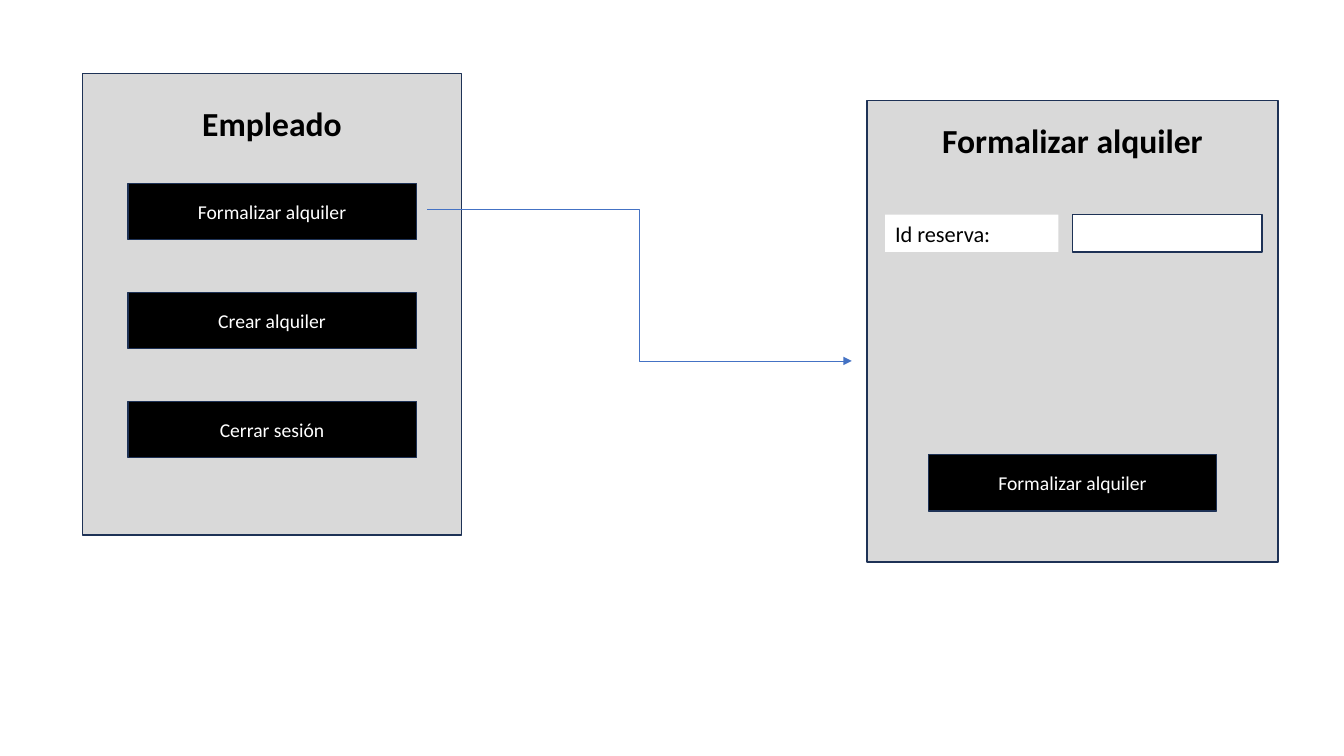
"""Draw the rental screen flow from the employee menu to the rental form."""
from dataclasses import dataclass
from typing import Optional

from lxml import etree
from pptx import Presentation
from pptx import slide as sl
from pptx import util as u
from pptx.dml import color
from pptx.enum import shapes, text
from pptx.oxml import ns

COLORS = {
    "panel": "D9D9D9",
    "border": "1E3256",
    "black": "000000",
    "white": "FFFFFF",
    "arrow": "4472C4",
}
FONT = "Calibri"
BUTTON_WIDTH, BUTTON_HEIGHT, BUTTON_PITCH = 206, 40.3, 77.8
FIELD_TOP, FIELD_HEIGHT = 153.4, 26.6


@dataclass(frozen=True)
class Box:
    left: float
    top: float
    width: float
    height: float
    fill: Optional[str] = None
    border: Optional[str] = "border"
    words: str = ""
    size: float = 14
    ink: str = "black"
    bold: bool = False
    align: text.PP_ALIGN = text.PP_ALIGN.CENTER


def rgb(name: str) -> color.RGBColor:
    return color.RGBColor.from_string(COLORS[name])


def heading(panel: Box, top: float, words: str) -> Box:
    return Box(panel.left, top, panel.width, 36.4, border=None,
               words=words, size=24, bold=True)


def button(panel: Box, top: float, words: str) -> Box:
    left = panel.left + (panel.width - BUTTON_WIDTH) / 2
    return Box(left, top, BUTTON_WIDTH, BUTTON_HEIGHT, "black",
               words=words, ink="white")


def draw_box(slide: sl.Slide, box: Box) -> None:
    frame = [u.Pt(n) for n in (box.left, box.top, box.width, box.height)]
    if box.fill:
        shape = slide.shapes.add_shape(shapes.MSO_SHAPE.RECTANGLE, *frame)
        shape.shadow.inherit = False
        shape.fill.solid()
        shape.fill.fore_color.rgb = rgb(box.fill)
        if box.border:
            shape.line.color.rgb = rgb(box.border)
            shape.line.width = u.Pt(1)
        else:
            shape.line.fill.background()
    else:
        shape = slide.shapes.add_textbox(*frame)
    if box.words:
        body = shape.text_frame
        body.word_wrap = True
        body.vertical_anchor = text.MSO_ANCHOR.MIDDLE
        body.text = box.words
        paragraph = body.paragraphs[0]
        paragraph.alignment = box.align
        font = paragraph.runs[0].font
        font.name, font.size, font.bold = FONT, u.Pt(box.size), box.bold
        font.color.rgb = rgb(box.ink)


def draw_arrow(slide: sl.Slide, *ends: float) -> None:
    arrow = slide.shapes.add_connector(
        shapes.MSO_CONNECTOR.ELBOW, *(u.Pt(end) for end in ends))
    arrow.line.color.rgb = rgb("arrow")
    arrow.line.width = u.Pt(0.5)
    properties = arrow.element.spPr
    line = properties.find(ns.qn("a:ln"))
    etree.SubElement(line, ns.qn("a:tailEnd"), type="triangle")
    etree.SubElement(properties, ns.qn("a:effectLst"))


def main() -> None:
    deck = Presentation()
    deck.slide_width, deck.slide_height = u.Pt(960), u.Pt(540)
    slide = deck.slides.add_slide(deck.slide_layouts[6])

    employee = Box(59, 52.6, 270.7, 329.5, "panel")
    rental = Box(619.2, 72, 293.8, 329.5, "panel")
    options = ("Formalizar alquiler", "Crear alquiler", "Cerrar sesión")
    menu = [button(employee, 131 + row * BUTTON_PITCH, option)
            for row, option in enumerate(options)]
    booking_label = Box(632.2, FIELD_TOP, 123.8, FIELD_HEIGHT, "white", None,
                        "Id reserva:", 16, align=text.PP_ALIGN.LEFT)
    booking_input = Box(766, FIELD_TOP, 135.4, FIELD_HEIGHT, "white")

    for box in (employee, heading(employee, 69.8, "Empleado"), *menu):
        draw_box(slide, box)
    draw_arrow(slide, 305.3, 149.8, 608.4, 257.8)
    for box in (rental, heading(rental, 82.1, "Formalizar alquiler"),
                button(rental, 324.7, "Formalizar alquiler"),
                booking_label, booking_input):
        draw_box(slide, box)

    deck.save("out.pptx")


if __name__ == "__main__":
    main()
